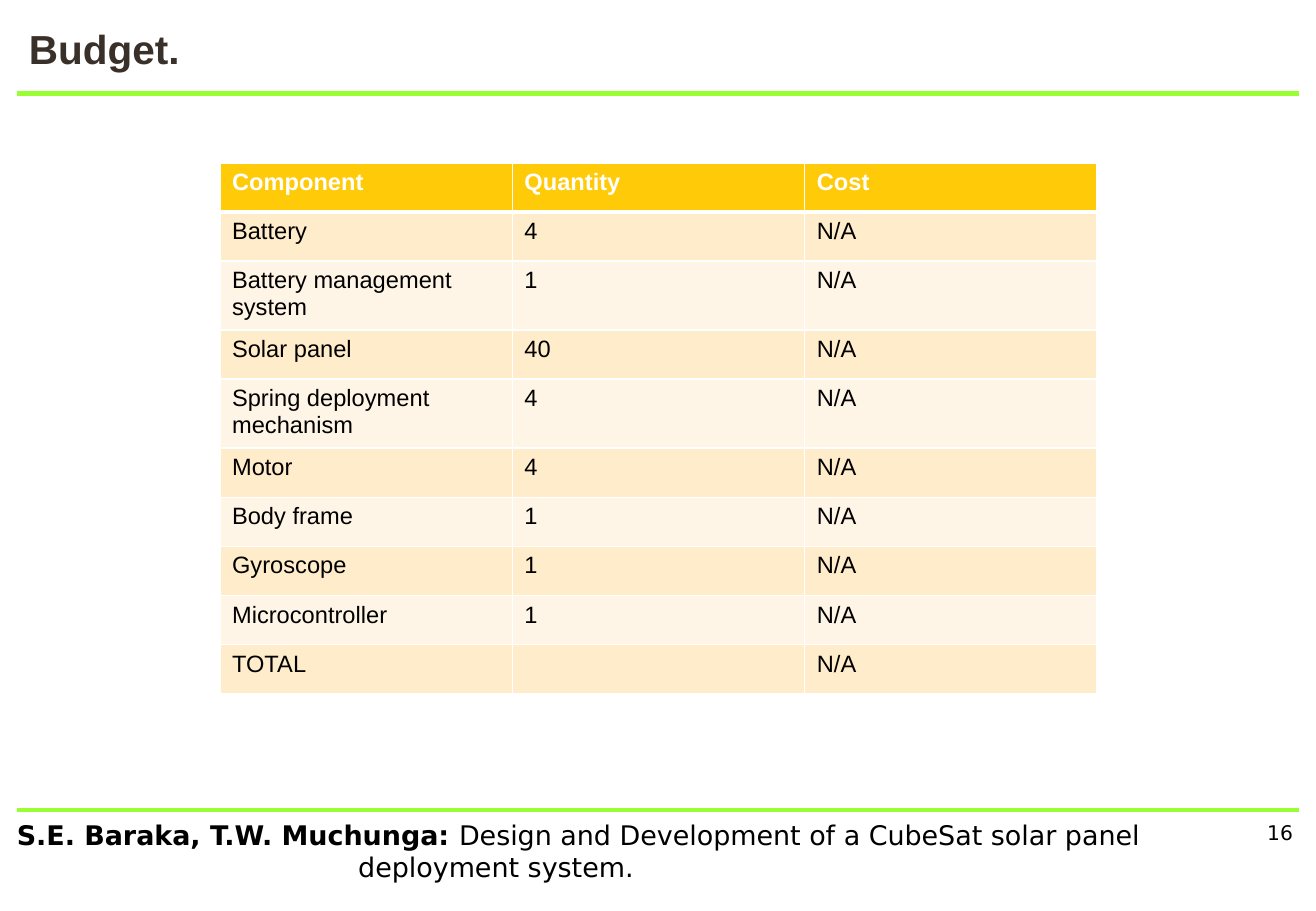
from lxml import etree
from pptx import Presentation
from pptx.dml.color import RGBColor
from pptx.enum.shapes import MSO_CONNECTOR
from pptx.enum.text import PP_ALIGN
from pptx.oxml.ns import qn
from pptx.util import Inches, Pt

STRAIGHT = MSO_CONNECTOR.STRAIGHT
LEFT, RIGHT = PP_ALIGN.LEFT, PP_ALIGN.RIGHT

BUDGET = [
    ("Component", "Quantity", "Cost"),
    ("Battery", "4", "N/A"),
    ("Battery management system", "1", "N/A"),
    ("Solar panel", "40", "N/A"),
    ("Spring deployment mechanism", "4", "N/A"),
    ("Motor", "4", "N/A"),
    ("Body frame", "1", "N/A"),
    ("Gyroscope", "1", "N/A"),
    ("Microcontroller", "1", "N/A"),
    ("TOTAL", "", "N/A"),
]


def rgb(value):
    return RGBColor.from_string(value)


def add_text(p, text, font="Arial", size=14, color="000000", bold=False):
    r = p.add_run()
    r.text = text
    r.font.name = font
    r.font.size = Pt(size)
    r.font.bold = bold
    r.font.color.rgb = rgb(color)


def set_border(cell, side, color, width):
    """Draw one side of a cell: L, R, T or B, in that order."""
    ln = etree.SubElement(cell._tc.get_or_add_tcPr(), qn(f"a:ln{side}"), w=str(Pt(width)))
    fill = etree.SubElement(ln, qn("a:solidFill"))
    etree.SubElement(fill, qn("a:srgbClr"), val=color)


class BudgetSlide:
    GREEN = "99FF33"
    TITLE = "39302A"
    WHITE = "FFFFFF"
    HEADER = "FFCA08"
    BANDS = ("FFF5E6", "FFECCA")
    FOOTER_FONT = "DejaVu Sans"

    def __init__(self, prs):
        self.s = prs.slides.add_slide(prs.slide_layouts[6])

    def rule(self, y, width):
        line = self.s.shapes.add_connector(
            STRAIGHT, Inches(0.14), Inches(y), Inches(10.69), Inches(y))
        line.line.color.rgb = rgb(self.GREEN)
        line.line.width = Pt(width)
        etree.SubElement(line._element.spPr, qn("a:effectLst"))

    def text_box(self, left, top, width, height, margins=(0.1, 0.05), align=LEFT):
        """Add an empty text box and return its text frame."""
        box = self.s.shapes.add_textbox(*map(Inches, (left, top, width, height)))
        tf = box.text_frame
        tf.word_wrap = True
        tf.margin_left = tf.margin_right = Inches(margins[0])
        tf.margin_top = tf.margin_bottom = Inches(margins[1])
        tf.paragraphs[0].alignment = align
        return tf

    def title(self, text):
        p = self.text_box(0.14, 0.23, 8.94, 1.09).paragraphs[0]
        p.line_spacing = 0.8
        add_text(p, text, size=24, color=self.TITLE, bold=True)

    def footer(self, authors, first_line, second_line):
        tf = self.text_box(0.04, 6.69, 10.23, 0.64)
        p = tf.paragraphs[0]
        add_text(p, authors, font=self.FOOTER_FONT, size=16, bold=True)
        add_text(p, first_line, font=self.FOOTER_FONT, size=16)
        p = tf.add_paragraph()
        p._p.get_or_add_pPr().set("marL", str(Inches(2.81)))
        add_text(p, second_line, font=self.FOOTER_FONT, size=16)

    def page_number(self, number):
        tf = self.text_box(10.1, 6.75, 0.54, 0.23, margins=(0, 0), align=RIGHT)
        add_text(tf.paragraphs[0], number, font=self.FOOTER_FONT, size=12)

    def table(self, rows, left, top, width, height):
        frame = self.s.shapes.add_table(
            len(rows), len(rows[0]), *map(Inches, (left, top, width, height)))
        for i, row in enumerate(rows):
            is_header = i == 0
            for j, text in enumerate(row):
                cell = frame.table.cell(i, j)
                for side in "LRTB":
                    thick = (i, side) in ((0, "B"), (1, "T"))
                    set_border(cell, side, self.WHITE, 3 if thick else 1)
                cell.fill.solid()
                cell.fill.fore_color.rgb = rgb(self.HEADER if is_header else self.BANDS[i % 2])
                if text:
                    add_text(cell.text_frame.paragraphs[0], text, bold=is_header,
                             color=self.WHITE if is_header else "000000")


def main():
    prs = Presentation()
    prs.slide_width, prs.slide_height = Inches(10.83), Inches(7.5)
    slide = BudgetSlide(prs)
    slide.rule(6.67, 2)
    slide.page_number("16")
    slide.rule(0.77, 3)
    slide.footer("S.E. Baraka, T.W. Muchunga: ",
                 "Design and Development of a CubeSat solar panel",
                 "deployment system.")
    slide.title("Budget.")
    slide.table(BUDGET, 1.81, 1.34, 7.22, 4.05)
    prs.save("out.pptx")


if __name__ == "__main__":
    main()
